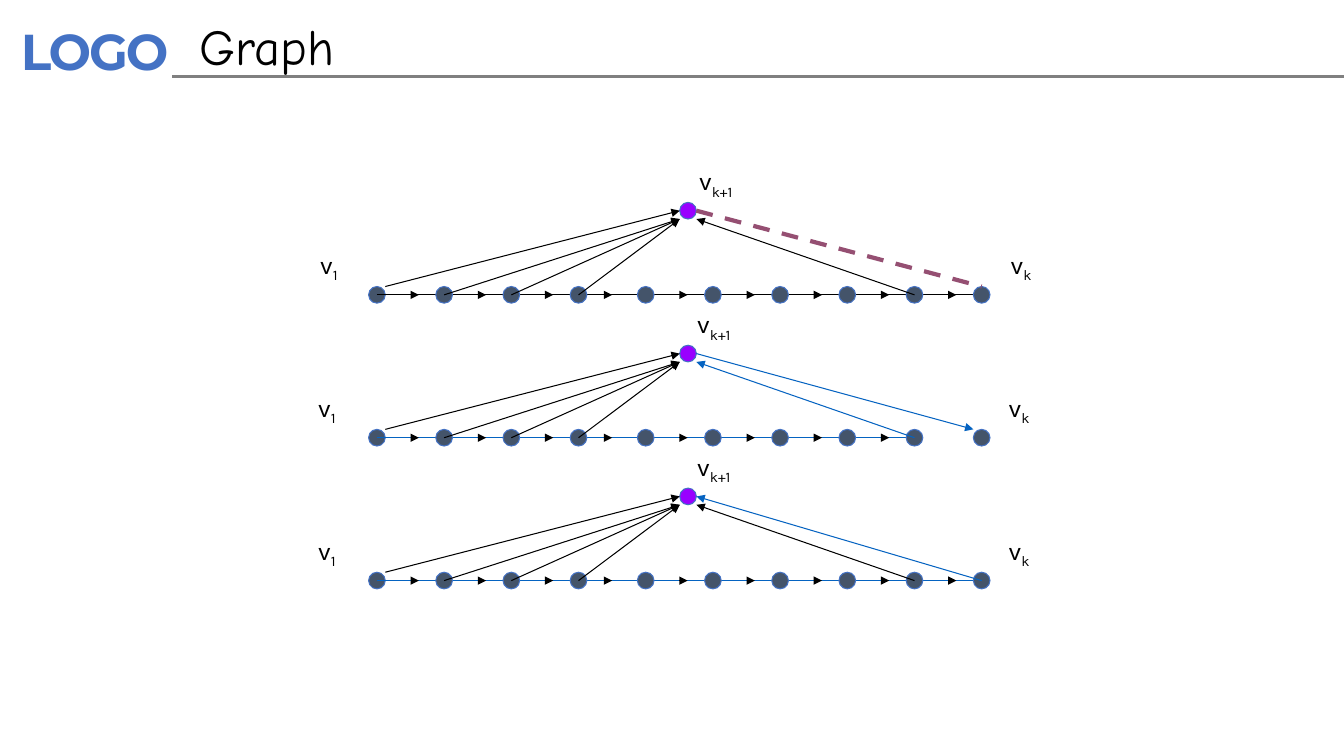
from dataclasses import dataclass
from typing import Optional

from lxml.etree import SubElement
from pptx import Presentation
from pptx.dml.color import RGBColor
from pptx.enum.dml import MSO_LINE
from pptx.enum.shapes import MSO_CONNECTOR, MSO_SHAPE
from pptx.enum.text import MSO_AUTO_SIZE
from pptx.oxml.ns import qn
from pptx.util import Cm, Pt


@dataclass(frozen=True)
class Theme:
    black: str = "000000"
    grey: str = "808080"
    blue: str = "4472C4"
    path_blue: str = "0563C1"
    slate: str = "44546A"
    purple: str = "9900FF"
    plum: str = "954F72"
    heading_size: float = 36
    label_size: float = 18
    thin: float = 0.75
    rule: float = 2
    thick: float = 3
    heading_font: str = "Comic Neue"
    label_font: str = "Karla"
    logo_font: str = "Montserrat"


@dataclass(frozen=True)
class Point:
    x: float
    y: float

    def shift(self, dx: float, dy: float) -> "Point":
        return Point(self.x + dx, self.y + dy)


@dataclass(frozen=True)
class Tournament:
    y: float
    chain_color: str
    chain_end: float
    arrows: int
    return_color: str
    label_shift: float


T = Theme()
NODES = 10
RADIUS = 0.21
FIRST_X = 9.5
PITCH = 15.24 / (NODES - 1)
APEX_X = 17.34
APEX_RISE = 2.12
LAST_X = FIRST_X + PITCH * (NODES - 1)
TOP_Y, ROW_GAP = 7.43, 3.6

ROWS = [
    Tournament(TOP_Y, T.black, LAST_X, 9, T.black, 0.05),
    Tournament(TOP_Y + ROW_GAP, T.path_blue, LAST_X - PITCH, 8, T.path_blue, 0),
    Tournament(TOP_Y + 2 * ROW_GAP, T.path_blue, LAST_X - RADIUS, 9, T.black, 0),
]


def add_text(s, text: str, x: float, y: float, w: float, h: float, *,
             size: float, font: str, color: str = T.black, bold: bool = False,
             sub: str = "", spacing: int = 0, wrap: bool = True,
             inset: Optional[tuple[float, float]] = None) -> None:
    tf = s.shapes.add_textbox(Cm(x), Cm(y), Cm(w), Cm(h)).text_frame
    tf.word_wrap = wrap
    tf.auto_size = MSO_AUTO_SIZE.SHAPE_TO_FIT_TEXT
    if inset:
        tf.margin_left = tf.margin_right = Cm(inset[0])
        tf.margin_top = tf.margin_bottom = Cm(inset[1])
    p = tf.paragraphs[0]
    for part, baseline in ((text, 0), (sub, -25000)):
        if not part:
            continue
        r = p.add_run()
        r.text = part
        r.font.size, r.font.name, r.font.bold = Pt(size), font, bold
        r.font.color.rgb = RGBColor.from_string(color)
        rPr = r._r.get_or_add_rPr()
        if baseline:
            rPr.set("baseline", str(baseline))
        if spacing:
            rPr.set("spc", str(spacing))


def add_line(s, a: Point, b: Point, color: str = T.black, width: float = T.thin,
             arrow: bool = False, dashed: bool = False) -> None:
    cx = s.shapes.add_connector(MSO_CONNECTOR.STRAIGHT, Cm(a.x), Cm(a.y), Cm(b.x), Cm(b.y))
    cx.line.color.rgb = RGBColor.from_string(color)
    cx.line.width = Pt(width)
    if dashed:
        cx.line.dash_style = MSO_LINE.DASH
    if arrow:
        SubElement(cx.line._get_or_add_ln(), qn("a:tailEnd"), type="triangle")
    SubElement(cx._element.spPr, qn("a:effectLst"))


def add_node(s, c: Point, fill: str) -> None:
    sp = s.shapes.add_shape(MSO_SHAPE.OVAL, Cm(c.x - RADIUS), Cm(c.y - RADIUS),
                            Cm(2 * RADIUS), Cm(2 * RADIUS))
    sp.shadow.inherit = False
    sp.fill.solid()
    sp.fill.fore_color.rgb = RGBColor.from_string(fill)
    sp.line.color.rgb = RGBColor.from_string(T.blue)
    sp.line.width = Pt(T.thin)


def add_tournament(s, row: Tournament) -> None:
    nodes = [Point(FIRST_X + i * PITCH, row.y) for i in range(NODES)]
    apex = Point(APEX_X, row.y - APEX_RISE)

    add_node(s, nodes[0], T.slate)
    add_line(s, nodes[0], Point(row.chain_end, row.y), row.chain_color)
    for c in nodes[1:]:
        add_node(s, c, T.slate)
    for i, c in enumerate(nodes[:row.arrows]):
        start = c.shift(PITCH / 2 - (RADIUS if i == 3 else 0), 0)
        add_line(s, start, start.shift(RADIUS, 0), arrow=True)

    add_node(s, apex, T.purple)
    add_line(s, nodes[0].shift(RADIUS, -RADIUS), apex.shift(-RADIUS, 0), arrow=True)
    for c in nodes[1:4]:
        add_line(s, c, apex.shift(-RADIUS, RADIUS), arrow=True)
    add_line(s, nodes[8], apex.shift(RADIUS, RADIUS), row.return_color, arrow=True)


def add_labels(s, row: Tournament) -> None:
    for sub, x, rise, w, wrap in (("1", 7.77, 1.27, 1.24, False),
                                  ("k", 25.17, 1.27, 1.22, False),
                                  ("k+1", 17.32, 3.38, 2.54, True)):
        add_text(s, "v", x + row.label_shift, row.y - rise, w, 1.27, sub=sub,
                 size=T.label_size, font=T.label_font, wrap=wrap)


def add_last_edges(s) -> None:
    apexes = [Point(APEX_X + RADIUS, row.y - APEX_RISE) for row in ROWS]
    ends = [Point(LAST_X, row.y) for row in ROWS]
    add_line(s, apexes[0], ends[0].shift(0, -RADIUS), T.plum, T.thick, dashed=True)
    add_line(s, apexes[1], ends[1].shift(-RADIUS, -RADIUS), T.path_blue, arrow=True)
    add_line(s, ends[2], apexes[2], T.path_blue, arrow=True)


def main() -> None:
    prs = Presentation()
    prs.slide_width, prs.slide_height = Cm(33.87), Cm(19.05)
    s = prs.slides.add_slide(prs.slide_layouts[6])

    add_text(s, "LOGO", 0.2, 0.33, 4.72, 1.88, size=T.heading_size, font=T.logo_font,
             color=T.blue, bold=True, spacing=-150, inset=(0.33, 0.18))
    add_line(s, Point(4.34, 1.93), Point(33.87, 1.93), T.grey, T.rule)
    add_text(s, "Graph", 4.78, 0.25, 21.89, 1.8, size=T.heading_size, font=T.heading_font)

    for row in ROWS:
        add_tournament(s, row)
    add_last_edges(s)
    for row in ROWS:
        add_labels(s, row)

    prs.save("out.pptx")


if __name__ == "__main__":
    main()
